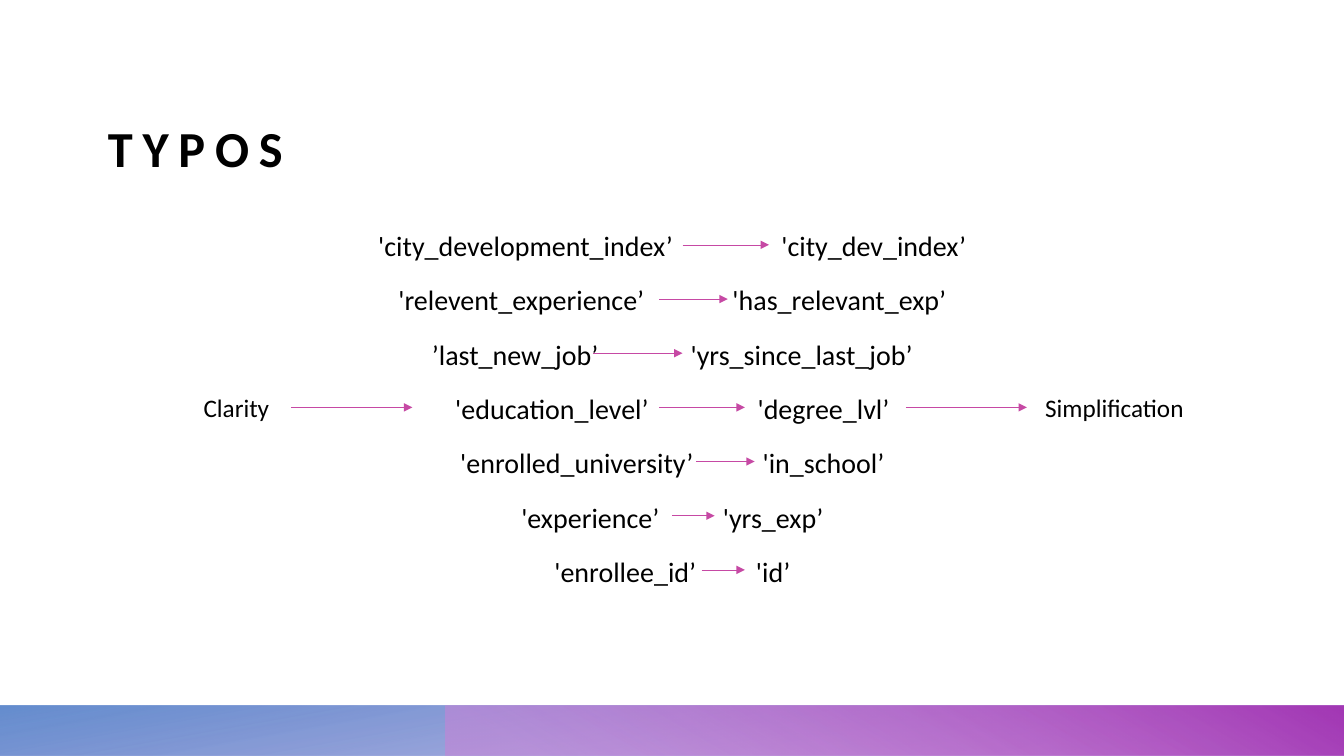
"""Build the slide that lists the renamed data columns."""
from lxml.etree import SubElement
from pptx import Presentation
from pptx.dml.color import RGBColor
from pptx.enum.shapes import MSO_CONNECTOR, MSO_SHAPE
from pptx.enum.text import MSO_ANCHOR, MSO_AUTO_SIZE, PP_ALIGN
from pptx.oxml.ns import qn
from pptx.util import Cm, Pt

TITLE = "TYPOS"
# old name, new name, tab stop, arrow start, arrow end (cm)
RENAMES = [
    ("'city_development_index’", "'city_dev_index’", 10.16, 17.2, 19.38),
    ("'relevent_experience’", "'has_relevant_exp’", 8.42, 16.61, 18.34),
    ("’last_new_job’", "'yrs_since_last_job’", 6.52, 14.94, 17.2),
    ("'education_level’", "'degree_lvl’", 7.62, 16.61, 18.77),
    ("'enrolled_university’", "'in_school’", 7.62, 17.55, 19.02),
    ("'experience’", "'yrs_exp’", 5.08, 16.94, 18.01),
    ("'enrollee_id’", "'id’", 5.08, 17.68, 18.77),
]
CLARITY = ("Clarity", 4.88, 2.46)
SIMPLIFICATION = ("Simplification", 26.09, 4.14)
# left, width, rotation, gradient angle, stops (position, colour, opacity)
BANDS = [
    (0, 33.87, 180, 100, [(14, "4340B8", 28), (100, "497AC6", 85)]),
    (11.22, 22.65, 0, 240, [(9, "CC82D8", 55), (99, "A338B5", 100)]),
]

BLACK = RGBColor(0, 0, 0)
PINK = RGBColor(0xC6, 0x49, 0xA4)
FONT = "Calibri"
MARGIN, CONTENT_WIDTH = 2.72, 28.45
BAND_TOP, BAND_HEIGHT = 17.78, 1.27
FIRST_ARROW_Y, ROW_PITCH = 6.17, 1.365
SIDE_Y = FIRST_ARROW_Y + 3 * ROW_PITCH
LABEL_HEIGHT = 1.02


def style(font, size):
    font.name, font.size, font.color.rgb = FONT, Pt(size), BLACK


def add_band(slide, left, width, rotation, angle, stops):
    band = slide.shapes.add_shape(
        MSO_SHAPE.RECTANGLE, Cm(left), Cm(BAND_TOP), Cm(width), Cm(BAND_HEIGHT))
    band.shadow.inherit = False
    band.line.fill.background()
    band.rotation = rotation
    band.fill.gradient()
    properties = band._element.spPr
    properties.find(qn("a:xfrm")).set("flipH", "1")
    gradient = properties.find(qn("a:gradFill"))
    for child in list(gradient):
        gradient.remove(child)
    stop_list = SubElement(gradient, qn("a:gsLst"))
    for position, colour, opacity in stops:
        stop = SubElement(stop_list, qn("a:gs"), pos=str(position * 1000))
        rgb = SubElement(stop, qn("a:srgbClr"), val=colour)
        SubElement(rgb, qn("a:alpha"), val=str(opacity * 1000))
    SubElement(gradient, qn("a:lin"), ang=str(angle * 60000), scaled="0")


def add_frame(slide, top, height):
    frame = slide.shapes.add_textbox(
        Cm(MARGIN), Cm(top), Cm(CONTENT_WIDTH), Cm(height)).text_frame
    frame.word_wrap = True
    frame.margin_left = frame.margin_right = 0
    frame.margin_top = frame.margin_bottom = 0
    return frame


def add_arrow(slide, start, end, y):
    arrow = slide.shapes.add_connector(
        MSO_CONNECTOR.STRAIGHT, Cm(start), Cm(y), Cm(end), Cm(y))
    arrow.line.color.rgb = PINK
    arrow.line.width = Pt(0.5)
    properties = arrow._element.spPr
    SubElement(properties.find(qn("a:ln")), qn("a:tailEnd"), type="triangle")
    SubElement(properties, qn("a:effectLst"))
    return arrow


def add_label(slide, text, left, width):
    label = slide.shapes.add_textbox(
        Cm(left), Cm(SIDE_Y - LABEL_HEIGHT / 2), Cm(width), Cm(LABEL_HEIGHT))
    frame = label.text_frame
    frame.text = text
    frame.word_wrap = False
    frame.auto_size = MSO_AUTO_SIZE.SHAPE_TO_FIT_TEXT
    style(frame.paragraphs[0].runs[0].font, 18)
    return label


def add_title(slide):
    frame = add_frame(slide, 1.04, 3.43)
    frame.vertical_anchor = MSO_ANCHOR.BOTTOM
    frame.text = TITLE
    font = frame.paragraphs[0].runs[0].font
    style(font, 36)
    font.bold = True
    font._element.set("spc", "700")


def add_renames(slide):
    frame = add_frame(slide, 5.59, 11)
    frame.text = "\n".join(f"{old}\t{new}" for old, new, *_ in RENAMES)
    for row, (_, _, tab, start, end) in enumerate(RENAMES):
        paragraph = frame.paragraphs[row]
        tabs = SubElement(paragraph._p.get_or_add_pPr(), qn("a:tabLst"))
        SubElement(tabs, qn("a:tab"), pos=str(Cm(tab)), algn="l")
        paragraph.alignment = PP_ALIGN.CENTER
        paragraph.line_spacing = 1.2
        paragraph.space_before = Pt(10 if row else 0)
        for run in paragraph.runs:
            style(run.font, 20)
        add_arrow(slide, start, end, FIRST_ARROW_Y + row * ROW_PITCH)


def main():
    deck = Presentation()
    deck.slide_width, deck.slide_height = Cm(33.87), Cm(19.05)
    slide = deck.slides.add_slide(deck.slide_layouts[6])
    for band in BANDS:
        add_band(slide, *band)
    add_title(slide)
    add_renames(slide)
    clarity = add_label(slide, *CLARITY)
    add_label(slide, *SIMPLIFICATION)
    add_arrow(slide, 7.34, 10.39, SIDE_Y).begin_connect(clarity, 3)
    add_arrow(slide, 22.83, 25.88, SIDE_Y)
    deck.save("out.pptx")


if __name__ == "__main__":
    main()
